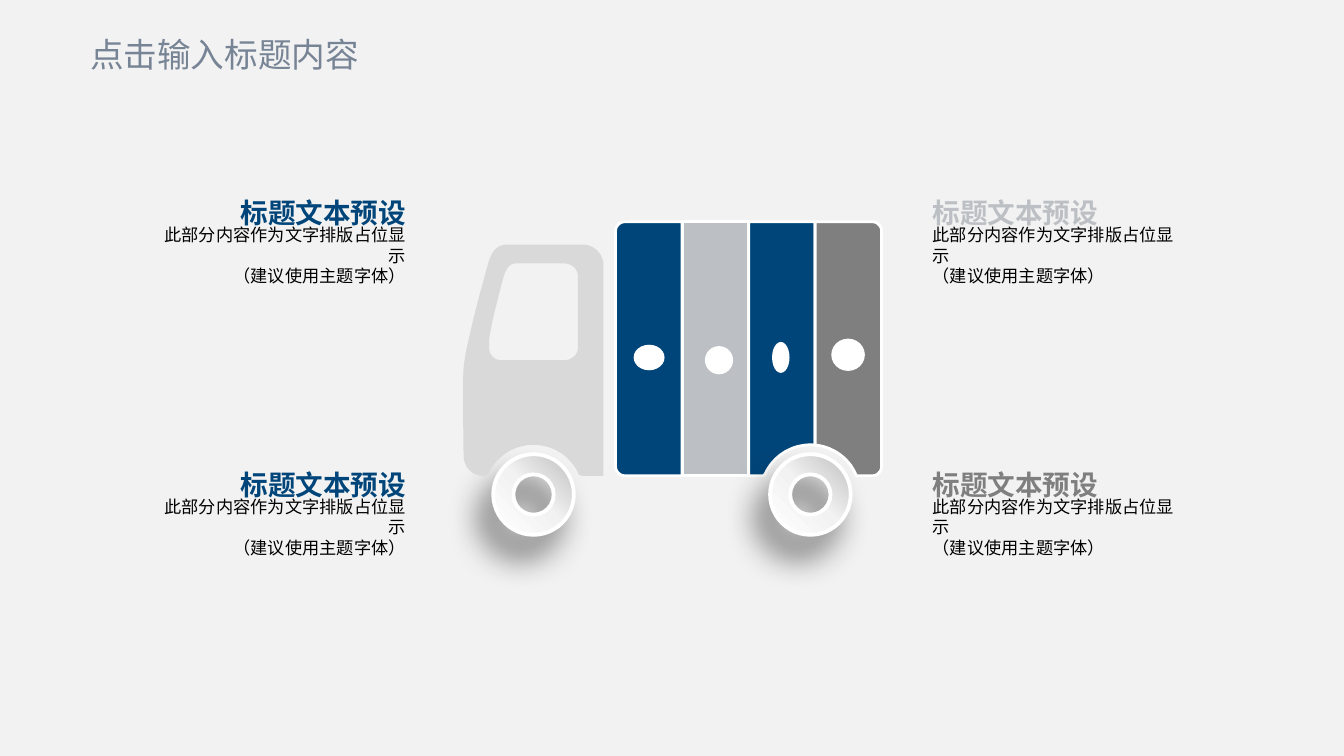
from math import cos, radians, sin, sqrt

from lxml import etree
from pptx import Presentation
from pptx.dml.color import RGBColor
from pptx.enum.shapes import MSO_SHAPE
from pptx.enum.text import MSO_ANCHOR, PP_ALIGN
from pptx.oxml.ns import qn
from pptx.util import Inches, Pt

LEFT, RIGHT = PP_ALIGN.LEFT, PP_ALIGN.RIGHT
TOP, MIDDLE = MSO_ANCHOR.TOP, MSO_ANCHOR.MIDDLE
OVAL, DONUT = MSO_SHAPE.OVAL, MSO_SHAPE.DONUT

THEME = {
    "font": "Noto Sans CJK SC",
    "background": "F2F2F2", "title": "778495", "text": "000000",
    "navy": "004579", "silver": "BCBFC4", "grey": "7F7F7F",
    "cab": "D9D9D9", "white": "FFFFFF", "shadow": "0D0D0D",
    "wheel": [(0, "BFBFBF"), (50, "F2F2F2"), (100, "FFFFFF")],
    "title_size": 18, "heading_size": 14.8, "body_size": 9.2,
    "panel_line": 1.5, "wheel_line": 2,
}

# Content
TITLE = "点击输入标题内容"
HEADING = "标题文本预设"
BODY = "此部分内容作为文字排版占位显示\n（建议使用主题字体）"
COLUMNS = [(1.13, 1.97, RIGHT), (6.86, 2.02, LEFT)]  # left, width, alignment
ROWS = [(1.46, ("navy", "silver")), (3.48, ("navy", "grey"))]  # top, heading colours
PANELS = ["navy", "silver", "navy", "grey"]
BADGES = [  # centre x, centre y, width, height
    (4.83, 2.66, 0.23, 0.19),
    (5.35, 2.68, 0.21, 0.21),
    (5.81, 2.66, 0.13, 0.23),
    (6.31, 2.64, 0.25, 0.24),
]

# Truck measures
CARGO_LEFT, CARGO_RIGHT, CARGO_TOP, FLOOR = 4.58, 6.56, 1.65, 3.54
CORNER = 0.07
WHEELS, AXLE, WHEEL_SIZE, ARCH = (3.97, 6.03), 3.68, 0.6, 0.37
STEPS = 40
UNITS = 1000  # outline units per inch

# A pair is a straight step, six numbers are a curve
CAB_LEFT, CAB_RIGHT = 3.59, 4.49
CAB_BODY = [
    (3.59, 3.54), (3.51, 3.54, 3.45, 3.47, 3.45, 3.39),
    (3.45, 3.39, 3.44, 2.8, 3.45, 2.73), (3.47, 2.53, 3.63, 1.97, 3.63, 1.97),
    (3.65, 1.89, 3.69, 1.82, 3.77, 1.82), (4.34, 1.82),
    (4.42, 1.82, 4.49, 1.89, 4.49, 1.97), (4.49, 3.54),
]
CAB_WINDOW = [
    (3.64, 2.53), (3.65, 2.41, 3.75, 2.05, 3.75, 2.05),
    (3.77, 2, 3.79, 1.96, 3.84, 1.96), (4.2, 1.96),
    (4.25, 1.96, 4.3, 2, 4.3, 2.05), (4.3, 2.59),
    (4.3, 2.64, 4.25, 2.68, 4.2, 2.68), (3.73, 2.68),
    (3.68, 2.68, 3.64, 2.64, 3.64, 2.59),
]


def rgb(name):
    return RGBColor.from_string(THEME[name])


def add_xml(parent, tag, **attributes):
    return etree.SubElement(parent, qn(tag), {k: str(v) for k, v in attributes.items()})


def trace(steps):
    """Turn straight steps and cubic curves into a list of points."""
    points = []
    for step in steps:
        if len(step) == 2:
            points.append(step)
            continue
        x0, y0 = points[-1]
        x1, y1, x2, y2, x3, y3 = step
        for i in range(1, 13):
            t = i / 12
            u = 1 - t
            weights = (u**3, 3 * u * u * t, 3 * u * t * t, t**3)
            points.append(tuple(
                sum(w * c for w, c in zip(weights, axis))
                for axis in ((x0, x1, x2, x3), (y0, y1, y2, y3))
            ))
    return points


def floor_line(right, left):
    """Points of the underside, from right to left, arched over the wheels."""
    points = []
    for i in range(STEPS + 1):
        x = right + (left - right) * i / STEPS
        arches = [AXLE - sqrt(ARCH**2 - (x - w) ** 2) for w in WHEELS if abs(x - w) < ARCH]
        points.append((x, min([FLOOR, *arches])))
    return points


def corner(x, y, start):
    """Quarter circle around a centre, clockwise from the start angle."""
    angles = [radians(start + 15 * i) for i in range(7)]
    return [(x + CORNER * cos(a), y + CORNER * sin(a)) for a in angles]


def panel_outline(left, right, first, last):
    inner_left, inner_right = left + CORNER, right - CORNER
    high, low = CARGO_TOP + CORNER, FLOOR - CORNER
    points = corner(inner_left, high, 180) if first else [(left, CARGO_TOP)]
    points += corner(inner_right, high, 270) if last else [(right, CARGO_TOP)]
    points += corner(inner_right, low, 0) if last else []
    points += floor_line(inner_right if last else right, inner_left if first else left)
    return points + (corner(inner_left, low, 90) if first else [])


def paint(shape, fill, line=None):
    shape.shadow.inherit = False
    shape.fill.solid()
    shape.fill.fore_color.rgb = rgb(fill)
    if line:
        shape.line.color.rgb = rgb("white")
        shape.line.width = Pt(THEME[line])
    else:
        shape.line.fill.background()


def add_outline(shapes, contours, fill, line=None):
    first, *others = [[(x * UNITS, y * UNITS) for x, y in contour] for contour in contours]
    builder = shapes.build_freeform(*first[0], scale=Inches(1) / UNITS)
    builder.add_line_segments(first[1:], close=True)
    for contour in others:
        builder.move_to(*contour[0])
        builder.add_line_segments(contour[1:], close=True)
    paint(builder.convert_to_shape(), fill, line)


def add_round(shapes, kind, x, y, width, height):
    return shapes.add_shape(
        kind, *map(Inches, (x - width / 2, y - height / 2, width, height)))


def add_wheel(shapes, x):
    wheel = add_round(shapes, DONUT, x, AXLE, WHEEL_SIZE, WHEEL_SIZE)
    wheel.adjustments[0] = 0.25
    paint(wheel, "white", "wheel_line")
    wheel.fill.gradient()
    gradient = wheel._element.spPr.find(qn("a:gradFill"))
    for child in list(gradient):
        gradient.remove(child)
    stops = add_xml(gradient, "a:gsLst")
    for position, colour in THEME["wheel"]:
        stop = add_xml(stops, "a:gs", pos=position * 1000)
        add_xml(stop, "a:srgbClr", val=colour)
    add_xml(gradient, "a:lin", ang=135 * 60000, scaled=0)
    effects = wheel._element.spPr.find(qn("a:effectLst"))
    shadow = add_xml(effects, "a:outerShdw", blurRad=Pt(17), dist=Pt(14),
                     dir=120 * 60000, algn="ctr", rotWithShape=0)
    tint = add_xml(shadow, "a:srgbClr", val=THEME["shadow"])
    add_xml(tint, "a:alpha", val=50000)


def add_text(shapes, words, box, size, colour, frame_format, align=LEFT, bold=False):
    frame = shapes.add_textbox(*map(Inches, box)).text_frame
    for key, value in frame_format.items():
        setattr(frame, key, value)
    paragraph = frame.paragraphs[0]
    paragraph.text = words
    paragraph.alignment = align
    for run in paragraph.runs:
        font_format = {"name": THEME["font"], "size": Pt(THEME[size]), "bold": bold}
        for key, value in font_format.items():
            setattr(run.font, key, value)
        run.font.color.rgb = rgb(colour)
        add_xml(run._r.get_or_add_rPr(), "a:ea", typeface=THEME["font"])


def frame_format(anchor, wrap, side, end):
    return {
        "vertical_anchor": anchor, "word_wrap": wrap,
        "margin_left": Inches(side), "margin_right": Inches(side),
        "margin_top": Inches(end), "margin_bottom": Inches(end),
    }


def main():
    deck = Presentation()
    deck.slide_width, deck.slide_height = Inches(10), Inches(10) * 9 // 16
    slide = deck.slides.add_slide(deck.slide_layouts[6])
    slide.background.fill.solid()
    slide.background.fill.fore_color.rgb = rgb("background")
    shapes = slide.shapes

    for top, colours in ROWS:
        for (left, width, align), colour in zip(COLUMNS, colours):
            add_text(shapes, BODY, (left, top + 0.2, width, 0.48), "body_size", "text",
                     frame_format(MIDDLE, True, 0.08, 0), align)
            add_text(shapes, HEADING, (left, top, width, 0.2), "heading_size", colour,
                     frame_format(TOP, False, 0.08, 0), align, True)

    panel_width = (CARGO_RIGHT - CARGO_LEFT) / len(PANELS)
    for i, colour in enumerate(PANELS):
        left = CARGO_LEFT + i * panel_width
        outline = panel_outline(left, left + panel_width, i == 0, i == len(PANELS) - 1)
        add_outline(shapes, [outline], colour, "panel_line")
    for x in WHEELS:
        add_wheel(shapes, x)
    cab = trace(CAB_BODY) + floor_line(CAB_RIGHT, CAB_LEFT)
    add_outline(shapes, [cab, trace(CAB_WINDOW)], "cab")
    for badge in BADGES:
        paint(add_round(shapes, OVAL, *badge), "white")

    add_text(shapes, TITLE, (0.67, 0.19, 2.33, 0.42), "title_size", "title",
             frame_format(MIDDLE, True, 0, 0.05))
    deck.save("out.pptx")


if __name__ == "__main__":
    main()
